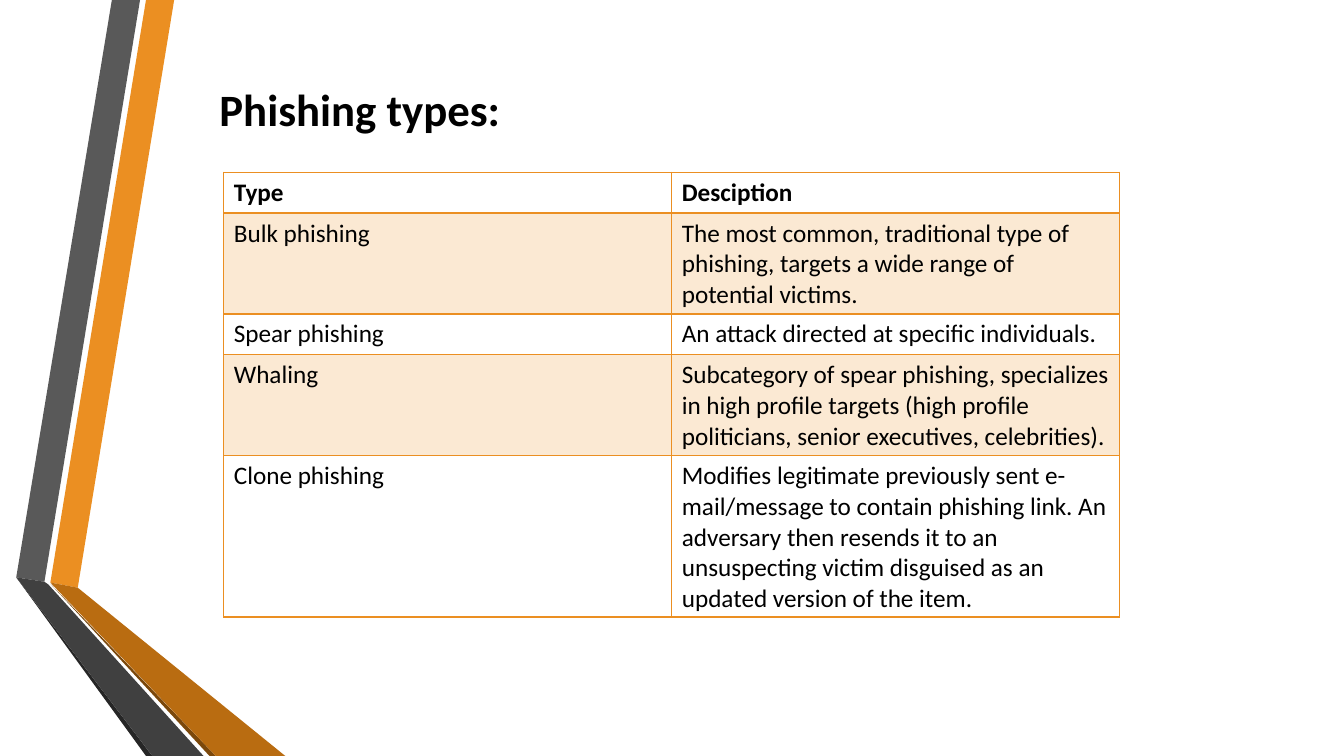
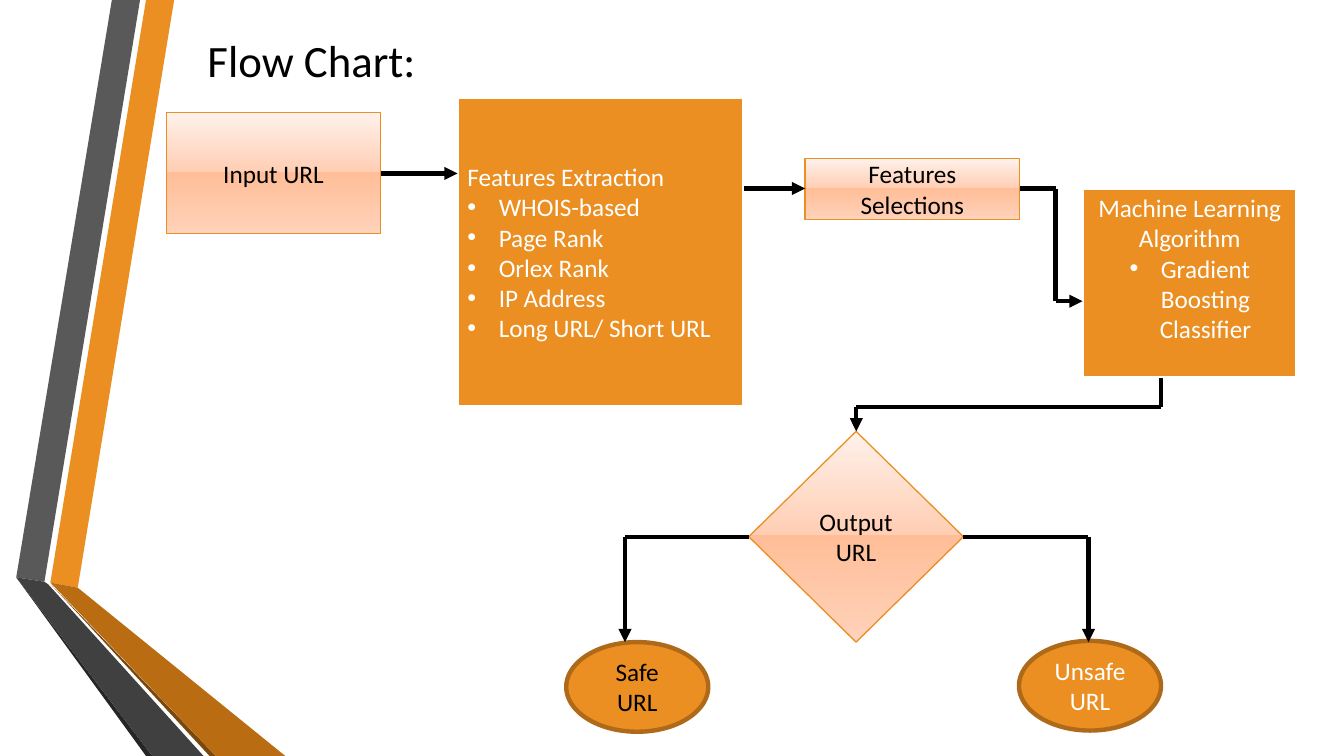
"""Build two slides on phishing: a table of types and a detection flow chart."""
import dataclasses
import itertools

import lxml.etree
import pptx
import pptx.dml.color
import pptx.enum.shapes
import pptx.enum.text
import pptx.oxml.ns
import pptx.util

Cm, Pt = pptx.util.Cm, pptx.util.Pt
SHAPE = pptx.enum.shapes.MSO_SHAPE
ALIGN = pptx.enum.text.PP_ALIGN
ANCHOR = pptx.enum.text.MSO_ANCHOR
qn = pptx.oxml.ns.qn


@dataclasses.dataclass(frozen=True)
class Theme:
    """Colours, font and sizes shared by the slides."""
    font: str = "Calibri"
    title_size: float = 32
    body_size: float = 18
    line_width: float = 3.15
    ink: str = "000000"
    paper: str = "FFFFFF"
    accent: str = "EB8F22"
    accent_edge: str = "AE6A19"
    band: str = "FBE9D3"
    peach: tuple = ((0, "FFF1EB"), (49, "FFCEB4"), (49, "FFBE98"),
                    (92, "FFCEB4"), (100, "FFD5C0"))


THEME = Theme()

RIBBONS = (
    ("EB8F22", [(1.27, 14.68), (1.96, 14.81), (4.39, 0), (3.68, 0)]),
    ("595959", [(3.53, 0), (2.82, 0), (0.41, 14.55), (1.12, 14.66)]),
    ("262626", [(0.41, 14.55), (3.68, 19.05), (3.84, 19.05)]),
    ("7B480B", [(1.27, 14.71), (5.28, 19.05), (5.44, 19.05)]),
    ("B96C11", [(1.27, 14.68), (5.44, 19.05), (7.19, 19.05), (1.96, 14.81)]),
    ("404040", [(5.13, 19.05), (1.22, 14.73), (1.12, 14.66), (0.41, 14.55),
                (3.84, 19.05)]),
)

PHISHING_TYPES = (
    ("Type", "Desciption"),
    ("Bulk phishing", "The most common, traditional type of phishing, targets "
     "a wide range of potential victims."),
    ("Spear phishing", "An attack directed at specific individuals."),
    ("Whaling", "Subcategory of spear phishing, specializes in high profile "
     "targets (high profile politicians, senior executives, celebrities)."),
    ("Clone phishing", "Modifies legitimate previously sent e-mail/message to "
     "contain phishing link. An adversary then resends it to an unsuspecting "
     "victim disguised as an updated version of the item."),
)

NODE_STYLES = {
    "step": dict(geometry=SHAPE.RECTANGLE, fill=THEME.peach,
                 edge=THEME.accent, edge_width=0.9, ink=THEME.ink),
    "process": dict(geometry=SHAPE.RECTANGLE, fill=THEME.accent,
                    edge=THEME.paper, edge_width=2.5, ink=THEME.paper),
    "decision": dict(geometry=SHAPE.DIAMOND, fill=THEME.peach,
                     edge=THEME.accent, edge_width=0.9, ink=THEME.ink),
    "safe": dict(geometry=SHAPE.FLOWCHART_CONNECTOR, fill=THEME.accent,
                 edge=THEME.accent_edge, edge_width=3.15, ink=THEME.ink),
    "unsafe": dict(geometry=SHAPE.FLOWCHART_CONNECTOR, fill=THEME.accent,
                   edge=THEME.accent_edge, edge_width=3.15, ink=THEME.paper),
}

NODES = (
    dict(style="step", box=(4.19, 2.84, 5.41, 3.05), lines=["Input URL"]),
    dict(style="process", box=(11.53, 2.46, 7.21, 7.8), align=ALIGN.JUSTIFY,
         lines=["Features Extraction"],
         bullets=["WHOIS-based", "Page Rank", "Orlex Rank", "IP Address",
                  "Long URL/ Short URL"]),
    dict(style="step", box=(20.29, 3.99, 5.41, 1.55),
         lines=["Features Selections"]),
    dict(style="process", box=(27.28, 4.75, 5.41, 4.78), bottom_inset=0.89,
         lines=["Machine Learning Algorithm"],
         bullets=["Gradient Boosting Classifier"]),
    dict(style="decision", box=(18.87, 10.87, 5.41, 5.31),
         lines=["Output URL"]),
    dict(style="safe", box=(14.27, 16.18, 3.58, 2.26), lines=["Safe", "URL"]),
    dict(style="unsafe", box=(25.68, 16.15, 3.58, 2.26),
         lines=["Unsafe", "URL"]),
)

ROUTES = (
    [(9.6, 4.37), (11.53, 4.37)],
    [(18.74, 4.75), (20.29, 4.75)],
    [(25.7, 4.75), (26.6, 4.75), (26.6, 7.59), (27.28, 7.59)],
    [(29.26, 9.53), (29.26, 10.26), (21.58, 10.26), (21.58, 10.87)],
    [(18.87, 13.53), (15.75, 13.53), (15.75, 16.18)],
    [(24.28, 13.53), (27.43, 13.53), (27.43, 16.18)],
)


def rgb(value):
    """Return a colour object for a hex string."""
    return pptx.dml.color.RGBColor.from_string(value)


def apply_format(target, values):
    """Set each attribute named in a dict of format values."""
    for name, value in values.items():
        setattr(target, name, value)


def add_node(parent, tag, **attributes):
    """Append a drawing element with attributes to a parent."""
    return lxml.etree.SubElement(parent, qn(tag), attributes)


def paint(fill, colour):
    """Fill with a solid colour, or with a vertical gradient of stops."""
    if isinstance(colour, str):
        fill.solid()
        fill.fore_color.rgb = rgb(colour)
        return
    fill.gradient()
    fill.gradient_angle = 270


def set_gradient_stops(shape, stops):
    """Replace the gradient stops of a shape."""
    stop_list = shape.element.spPr.find(".//" + qn("a:gsLst"))
    for stop in list(stop_list):
        stop_list.remove(stop)
    for position, colour in stops:
        stop = add_node(stop_list, "a:gs", pos=str(position * 1000))
        add_node(stop, "a:srgbClr", val=colour)


def write_run(paragraph, text, size=THEME.body_size, ink=THEME.ink, bold=False):
    """Add one formatted run to a paragraph."""
    run = paragraph.add_run()
    run.text = text
    apply_format(run.font, dict(name=THEME.font, size=Pt(size), bold=bold))
    run.font.color.rgb = rgb(ink)


def make_bullet(paragraph):
    """Give a paragraph a hanging round bullet."""
    properties = paragraph._p.get_or_add_pPr()
    hang = int(Cm(0.79))
    properties.set("marL", str(hang))
    properties.set("indent", str(-hang))
    add_node(properties, "a:buFont", typeface="Arial")
    add_node(properties, "a:buChar", char="•")


def add_title(slide, text, left, top, width, bold=False):
    """Add a slide title."""
    title = slide.shapes.add_textbox(Cm(left), Cm(top), Cm(width), Cm(1.62))
    title.text_frame.word_wrap = True
    write_run(title.text_frame.paragraphs[0], text, THEME.title_size, bold=bold)


def add_ribbons(slide, layout):
    """Draw the folded ribbons and move them to the shared layout."""
    for colour, corners in RIBBONS:
        points = [(Cm(x), Cm(y)) for x, y in corners]
        builder = slide.shapes.build_freeform(*points[0])
        builder.add_line_segments(points[1:], close=True)
        ribbon = builder.convert_to_shape()
        ribbon.shadow.inherit = False
        paint(ribbon.fill, colour)
        ribbon.line.fill.background()
        layout.shapes.element.append(ribbon.element)


def add_borders(cell, row):
    """Outline a cell, with a heavier rule under the header row."""
    properties = cell._tc.get_or_add_tcPr()
    for edge in ("a:lnL", "a:lnR", "a:lnT", "a:lnB"):
        width = 2 if (edge, row) in {("a:lnB", 0), ("a:lnT", 1)} else 1
        border = add_node(properties, edge, w=str(int(Pt(width))))
        colour = add_node(border, "a:solidFill")
        add_node(colour, "a:srgbClr", val=THEME.accent)


def add_type_table(slide, rows, left, top, column_width, row_height):
    """Add the banded table of phishing types."""
    columns = len(rows[0])
    table = slide.shapes.add_table(
        len(rows), columns, Cm(left), Cm(top),
        Cm(column_width * columns), Cm(row_height * len(rows))).table
    apply_format(table, dict(first_row=False, horz_banding=False))
    for row, texts in enumerate(rows):
        for column, text in enumerate(texts):
            cell = table.cell(row, column)
            add_borders(cell, row)
            paint(cell.fill, THEME.band if row % 2 else THEME.paper)
            write_run(cell.text_frame.paragraphs[0], text, bold=row == 0)


def add_flow_node(slide, style, box, lines, bullets=(), align=ALIGN.CENTER,
                  bottom_inset=0.13):
    """Add one node of the flow chart with its text."""
    look = NODE_STYLES[style]
    node = slide.shapes.add_shape(look["geometry"], *map(Cm, box))
    node.shadow.inherit = False
    paint(node.fill, look["fill"])
    if not isinstance(look["fill"], str):
        set_gradient_stops(node, look["fill"])
    paint(node.line.fill, look["edge"])
    node.line.width = Pt(look["edge_width"])
    frame = node.text_frame
    apply_format(frame, dict(word_wrap=True, vertical_anchor=ANCHOR.MIDDLE,
                             margin_bottom=Cm(bottom_inset)))
    for index, text in enumerate([*lines, *bullets]):
        paragraph = frame.add_paragraph() if index else frame.paragraphs[0]
        paragraph.alignment = align
        if index >= len(lines):
            make_bullet(paragraph)
        write_run(paragraph, text, ink=look["ink"])


def add_route(slide, points):
    """Join points with straight lines, ending in an arrowhead."""
    for start, end in itertools.pairwise(points):
        segment = slide.shapes.add_connector(
            pptx.enum.shapes.MSO_CONNECTOR.STRAIGHT, *map(Cm, start + end))
        segment.line.width = Pt(THEME.line_width)
        paint(segment.line.fill, THEME.ink)
        properties = segment.element.spPr
        if end == points[-1]:
            add_node(properties.find(qn("a:ln")), "a:tailEnd", type="triangle")
        add_node(properties, "a:effectLst")


def main():
    """Build and save the presentation."""
    deck = pptx.Presentation()
    apply_format(deck, dict(slide_width=Cm(33.87), slide_height=Cm(19.05)))
    blank = deck.slide_layouts[6]

    types_slide = deck.slides.add_slide(blank)
    add_ribbons(types_slide, blank)
    add_title(types_slide, "Phishing types:", 5.28, 1.93, 11.89, bold=True)
    add_type_table(types_slide, PHISHING_TYPES, 5.64, 4.34, 11.29, 1.03)

    flow_slide = deck.slides.add_slide(blank)
    add_title(flow_slide, "Flow Chart:", 4.98, 0.69, 7.21)
    for node in NODES:
        add_flow_node(flow_slide, **node)
    for points in ROUTES:
        add_route(flow_slide, points)

    deck.save("out.pptx")


if __name__ == "__main__":
    main()
